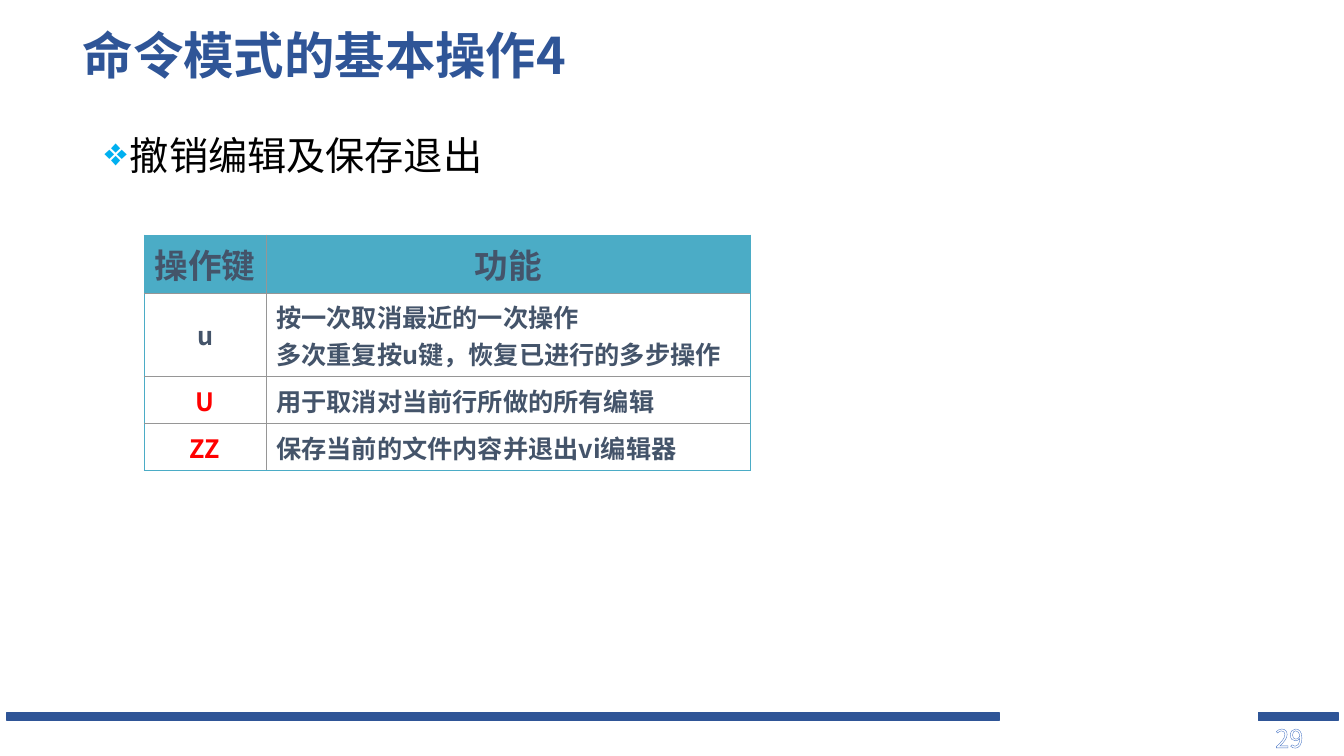
from dataclasses import dataclass

from lxml.etree import SubElement
from pptx import Presentation
from pptx.dml.color import RGBColor
from pptx.enum.shapes import MSO_SHAPE as Shape
from pptx.enum.text import MSO_ANCHOR as Anchor, MSO_AUTO_SIZE as AutoSize, PP_ALIGN as Align
from pptx.oxml import parse_xml
from pptx.oxml.ns import nsdecls, qn
from pptx.util import Inches, Pt

COLORS = {
    "navy": "2F5597", "teal": "4BACC6", "grey": "969696", "slate": "44546A",
    "red": "FF0000", "black": "000000", "sky": "00B0F0",
    "pale": "8FAADC", "white": "FFFFFF", "outline": "4472C4",
}
CJK = "Noto Sans CJK SC"
COL_WIDTHS = (1.21, 4.8)


@dataclass
class Row:
    key: str
    action: str
    height: float
    size: int = 18
    key_color: str = "slate"
    key_anchor: Anchor = Anchor.BOTTOM
    header: bool = False


@dataclass
class Bar:
    left: float
    width: float


ROWS = [
    Row("操作键", "功能", 0.58, size=24, header=True),
    Row("u", "按一次取消最近的一次操作\n多次重复按u键，恢复已进行的多步操作", 0.82,
        key_anchor=Anchor.MIDDLE),
    Row("U", "用于取消对当前行所做的所有编辑", 0.47, key_color="red"),
    Row("ZZ", "保存当前的文件内容并退出vi编辑器", 0.47, key_color="red"),
]
BARS = [Bar(0.07, 9.84), Bar(12.48, 0.79)]


def rgb(name: str) -> RGBColor:
    return RGBColor.from_string(COLORS[name])


def place(s, left: float, top: float, width: float, height: float) -> None:
    box = {"left": left, "top": top, "width": width, "height": height}
    for name, value in box.items():
        setattr(s, name, Inches(value))


def write(tf, text: str, color: str, size: int, font: str = CJK,
          bold: bool = False, align: Align = Align.LEFT) -> None:
    """Fill a text frame, one paragraph per line of text."""
    tf.text = text
    for p in tf.paragraphs:
        p.alignment = align
        for r in p.runs:
            for name, value in {"name": font, "size": Pt(size), "bold": bold}.items():
                setattr(r.font, name, value)
            r.font.color.rgb = rgb(color)
            SubElement(r.font._element, qn("a:ea"), typeface=CJK)


def add_bar(slide, bar: Bar) -> None:
    s = slide.shapes.add_shape(Shape.RECTANGLE, Inches(bar.left), Inches(7.07),
                               Inches(bar.width), Inches(0.08))
    s.shadow.inherit = False
    s.fill.solid()
    s.fill.fore_color.rgb = s.line.color.rgb = rgb("navy")
    s.line.width = Pt(1)


def add_text(slide, left: float, top: float, width: float, height: float):
    tf = slide.shapes.add_textbox(*map(Inches, (left, top, width, height))).text_frame
    tf.word_wrap = True
    return tf


def add_border(cell, side: str, color: str) -> None:
    ln = SubElement(cell._tc.get_or_add_tcPr(), qn(f"a:ln{side}"), w=str(Pt(0.5)))
    fill = SubElement(ln, qn("a:solidFill"))
    SubElement(fill, qn("a:srgbClr"), val=COLORS[color])


def add_key_table(slide) -> None:
    height = sum(row.height for row in ROWS)
    table = slide.shapes.add_table(len(ROWS), len(COL_WIDTHS), Inches(1.43), Inches(2.33),
                                   Inches(sum(COL_WIDTHS)), Inches(height)).table
    table.first_row = table.horz_banding = False
    for column, width in zip(table.columns, COL_WIDTHS):
        column.width = Inches(width)
    for i, row in enumerate(ROWS):
        table.rows[i].height = Inches(row.height)
        for j, text in enumerate((row.key, row.action)):
            cell = table.cell(i, j)
            is_key = j == 0
            write(cell.text_frame, text, row.key_color if is_key else "slate", row.size,
                  bold=True, align=Align.CENTER if is_key or row.header else Align.LEFT)
            cell.vertical_anchor = row.key_anchor if is_key else Anchor.BOTTOM
            # Outer edges are teal, inner rules grey
            outer = {"L": is_key, "R": j == len(COL_WIDTHS) - 1,
                     "T": i == 0, "B": i == len(ROWS) - 1}
            for side, on_edge in outer.items():
                add_border(cell, side, "teal" if on_edge else "grey")
            if row.header:
                cell.fill.solid()
                cell.fill.fore_color.rgb = rgb("teal")
            else:
                cell.fill.background()


def add_page_number(slide) -> None:
    tf = add_text(slide, 12.55, 7.12, 0.72, 0.4)
    write(tf, "29", "pale", 18)
    # Hatched fill with a thin outline
    props = tf.paragraphs[0].runs[0].font._element
    props.remove(props.find(qn("a:solidFill")))
    props.insert(0, parse_xml(
        f'<a:ln {nsdecls("a")} w="{Pt(1)}"><a:solidFill>'
        f'<a:srgbClr val="{COLORS["outline"]}"/></a:solidFill></a:ln>'))
    props.insert(1, parse_xml(
        f'<a:pattFill {nsdecls("a")} prst="ltDnDiag">'
        f'<a:fgClr><a:srgbClr val="{COLORS["pale"]}"/></a:fgClr>'
        f'<a:bgClr><a:srgbClr val="{COLORS["white"]}"/></a:bgClr></a:pattFill>'))


def add_bullet_line(slide) -> None:
    tf = add_text(slide, 0.94, 1.31, 9.3, 5.62)
    write(tf, "撤销编辑及保存退出", "black", 28, font="Calibri")
    p = tf.paragraphs[0]
    p.line_spacing = 0.9
    props = p._p.get_or_add_pPr()
    props.set("marL", str(Inches(0.25)))
    props.set("indent", str(-Inches(0.25)))
    bullet_color = SubElement(props, qn("a:buClr"))
    SubElement(bullet_color, qn("a:srgbClr"), val=COLORS["sky"])
    SubElement(props, qn("a:buChar"), char="❖")


def main() -> None:
    prs = Presentation()
    prs.slide_width, prs.slide_height = Inches(13.33), Inches(7.5)
    slide = prs.slides.add_slide(prs.slide_layouts[5])

    # Title
    title = slide.shapes.title
    place(title, 0.72, 0.23, 9.58, 0.7)
    tf = title.text_frame
    write(tf, "命令模式的基本操作4", "navy", 36, bold=True)
    tf.paragraphs[0].line_spacing = 0.9
    frame = {"vertical_anchor": Anchor.MIDDLE, "auto_size": AutoSize.NONE, "word_wrap": True}
    for name, value in frame.items():
        setattr(tf, name, value)

    # Footer
    for bar in BARS:
        add_bar(slide, bar)
    add_page_number(slide)

    # Content
    add_bullet_line(slide)
    add_key_table(slide)
    prs.save("out.pptx")


if __name__ == "__main__":
    main()
